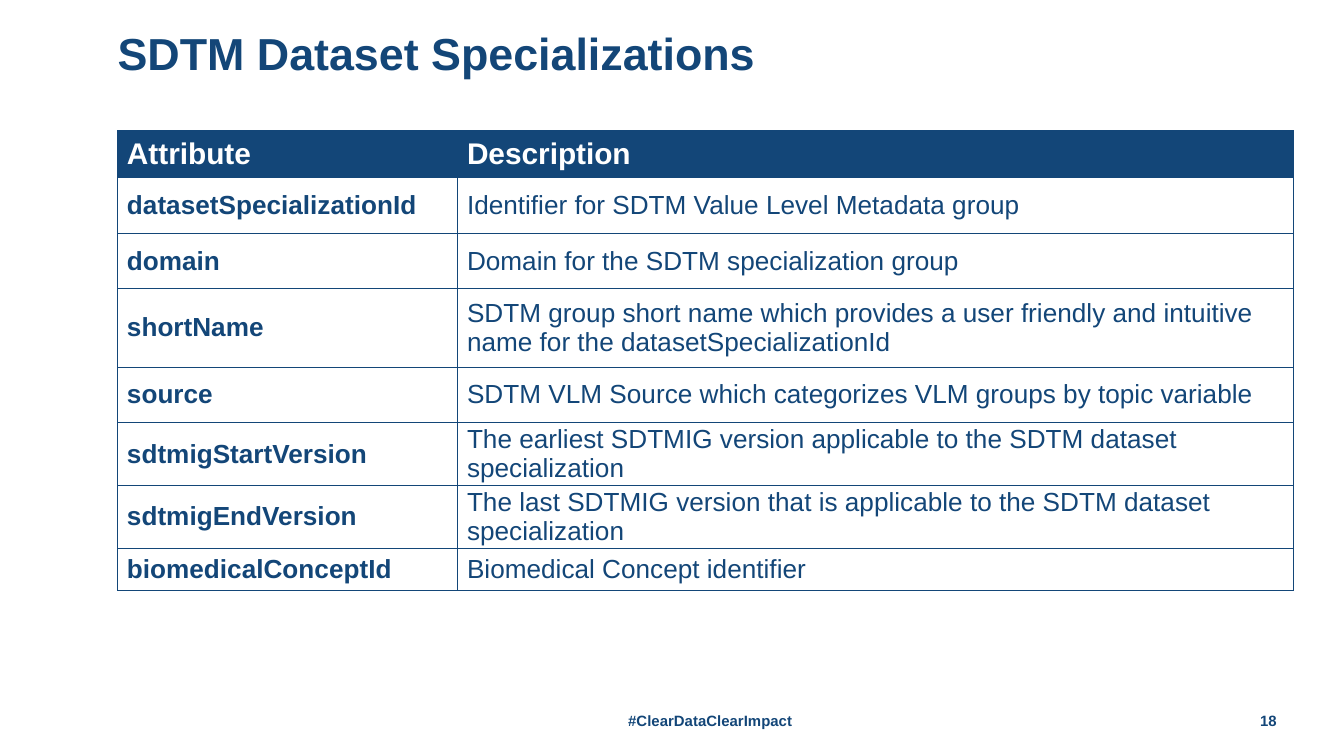
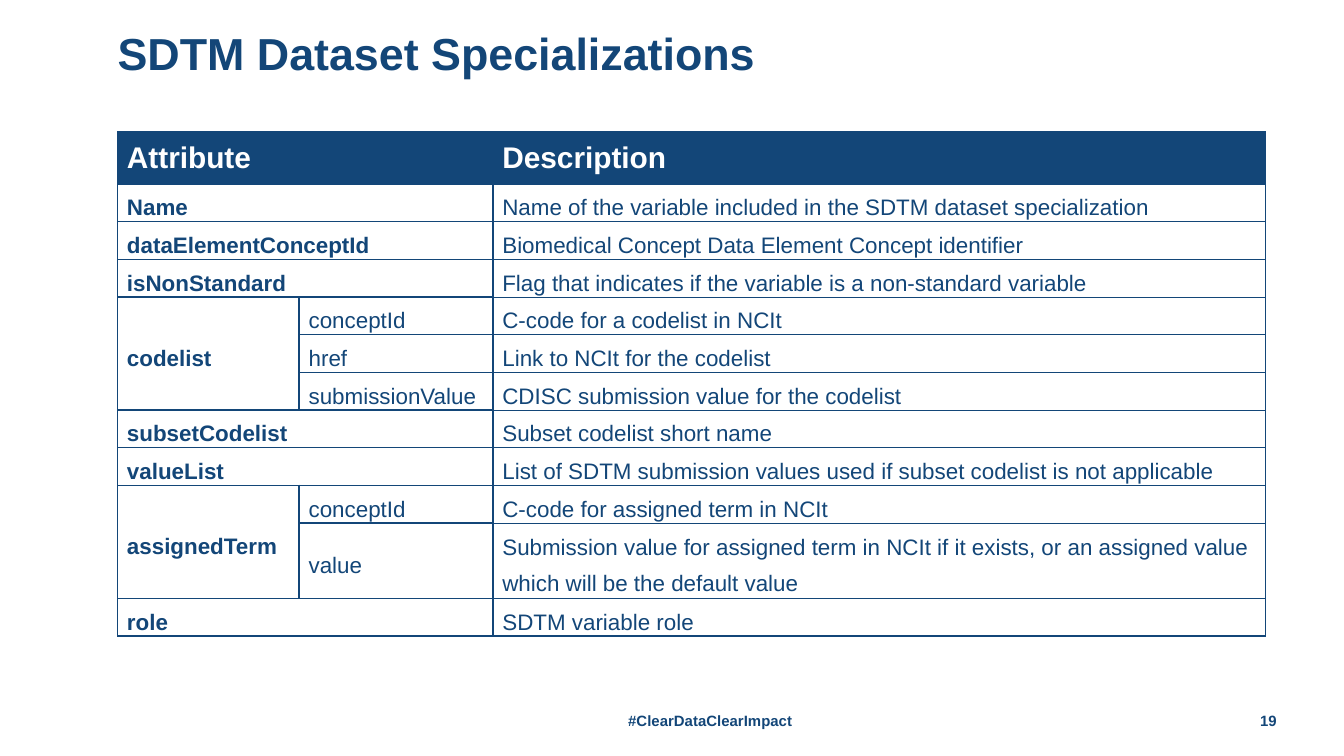
from lxml.etree import SubElement
from pptx import Presentation
from pptx.dml.color import RGBColor
from pptx.enum.text import MSO_ANCHOR as Anchor, PP_ALIGN as Align
from pptx.oxml.ns import qn
from pptx.util import Emu, Inches, Pt

NAVY, WHITE = "134678", "FFFFFF"
FONT = "Arial"
WIDTH = Inches(10)
HEIGHT = Emu(WIDTH * 9 // 16)
TITLE = "SDTM Dataset Specializations"
HASHTAG = "#ClearDataClearImpact"
TITLE_BOX = (8.75, 2, 86.25, 17.8)
FOOTER_BOX = (27.3, 92.7, 51.1, 5.3)
NUMBER_BOX = (91.7, 92.7, 3.3, 5.3)
GROUP_BOX = (8.75, 17.25, 87.5, 59.6)
VARIABLE_BOX = (8.75, 17.4, 85.4, 66.7)

GROUP_ROWS = [
    ("Attribute", "Description"),
    ("datasetSpecializationId", "Identifier for SDTM Value Level Metadata group"),
    ("domain", "Domain for the SDTM specialization group"),
    ("shortName", "SDTM group short name which provides a user friendly and "
                  "intuitive name for the datasetSpecializationId"),
    ("source", "SDTM VLM Source which categorizes VLM groups by topic variable"),
    ("sdtmigStartVersion", "The earliest SDTMIG version applicable to the SDTM "
                           "dataset specialization"),
    ("sdtmigEndVersion", "The last SDTMIG version that is applicable to the SDTM "
                         "dataset specialization"),
    ("biomedicalConceptId", "Biomedical Concept identifier"),
]
VARIABLE_ROWS = [
    ("Attribute", "", "Description"),
    ("Name", "", "Name of the variable included in the SDTM dataset specialization"),
    ("dataElementConceptId", "", "Biomedical Concept Data Element Concept identifier"),
    ("isNonStandard", "",
     "Flag that indicates if the variable is a non-standard variable"),
    ("codelist", "conceptId", "C-code for a codelist in NCIt"),
    ("", "href", "Link to NCIt for the codelist"),
    ("", "submissionValue", "CDISC submission value for the codelist"),
    ("subsetCodelist", "", "Subset codelist short name"),
    ("valueList", "",
     "List of SDTM submission values used if subset codelist is not applicable"),
    ("assignedTerm", "conceptId", "C-code for assigned term in NCIt"),
    ("", "value", "Submission value for assigned term in NCIt if it exists, or an "
                  "assigned value which will be the default value"),
    ("role", "", "SDTM variable role"),
]


def rgb(value):
    """Turn a hex string into a colour."""
    return RGBColor.from_string(value)


def place(box):
    """Convert percentages of the slide into left, top, width and height."""
    return [Emu(round(share * side / 100))
            for share, side in zip(box, (WIDTH, HEIGHT) * 2)]


def write(tf, text, size=8, color=NAVY, bold=True, align=None, spacing=None, after=None):
    """Put one formatted paragraph into a text frame."""
    tf.word_wrap = True
    p = tf.paragraphs[0]
    p.alignment, p.line_spacing = align, spacing
    p.space_after = after
    r = p.add_run()
    r.text = text
    r.font.name, r.font.size, r.font.bold = FONT, Pt(size), bold
    r.font.color.rgb = rgb(color)


def clear_insets(tf, anchor):
    """Remove the insets of a text frame and anchor its text."""
    tf.margin_left = tf.margin_top = tf.margin_right = tf.margin_bottom = 0
    tf.vertical_anchor = anchor


def add_label(s, box, text, align):
    """Add a small footer text."""
    tf = s.shapes.add_textbox(*place(box)).text_frame
    clear_insets(tf, Anchor.MIDDLE)
    write(tf, text, align=align)


def add_frame(prs, number):
    """Add a slide with its title, hashtag and number."""
    s = prs.slides.add_slide(prs.slide_layouts[5])
    title = s.shapes.title
    title.left, title.top, title.width, title.height = place(TITLE_BOX)
    clear_insets(title.text_frame, Anchor.TOP)
    title.text_frame.margin_top = Inches(0.12)
    write(title.text_frame, TITLE, size=24, align=Align.LEFT, spacing=0.9)
    add_label(s, FOOTER_BOX, HASHTAG, Align.CENTER)
    add_label(s, NUMBER_BOX, str(number), Align.RIGHT)
    return s


def set_borders(cell, widths):
    """Draw the left, right, top and bottom borders of a cell."""
    tc_pr = cell._tc.get_or_add_tcPr()
    for side, width in zip("LRTB", widths):
        ln = SubElement(tc_pr, qn(f"a:ln{side}"), w=str(Pt(width)))
        fill = SubElement(ln, qn("a:solidFill"))
        SubElement(fill, qn("a:srgbClr"), val=NAVY)


def thin_borders(row, col, last):
    """Give every side a thin line."""
    return (0.5,) * 4


def mixed_borders(row, col, last):
    """Give attribute columns heavy lines and the outer edges thin ones."""
    if col == 2:
        return 1, 0.5, 0.5, 1 if row == last else 0.5
    return 1 if col else 0.5, 1, 1 if row else 0.5, 1


def merge_blanks(table, rows):
    """Merge empty cells into the attribute beside or above them."""
    start = 0
    for i, (attribute, *parts) in enumerate(rows):
        if attribute:
            start = i
            if not parts[0]:
                table.cell(i, 0).merge(table.cell(i, 1))
        elif i + 1 == len(rows) or rows[i + 1][0]:
            table.cell(start, 0).merge(table.cell(i, 0))


def add_attributes(s, box, rows, columns, heights, borders, size, spacing=None):
    """Add an attribute table whose columns and rows share the box by weight."""
    left, top, width, height = place(box)
    table = s.shapes.add_table(len(rows), len(columns), left, top, width, height).table
    table.horz_banding = False
    for col, weight in zip(table.columns, columns):
        col.width = Emu(round(width * weight / sum(columns)))
    for row, weight in zip(table.rows, heights):
        row.height = Emu(round(height * weight / sum(heights)))
    for i, texts in enumerate(rows):
        for j, text in enumerate(texts):
            cell = table.cell(i, j)
            cell.margin_left = cell.margin_right = Inches(0.07)
            cell.margin_top = cell.margin_bottom = 0
            cell.vertical_anchor = Anchor.MIDDLE
            set_borders(cell, borders(i, j, len(rows) - 1))
            cell.fill.solid()
            cell.fill.fore_color.rgb = rgb(WHITE if i else NAVY)
            if text:
                write(cell.text_frame, text, size=size if i else 16,
                      color=NAVY if i else WHITE, bold=i == 0 or j == 0,
                      spacing=spacing if i else None, after=Pt(6))
    merge_blanks(table, rows)


def main():
    """Build both slides and save them."""
    prs = Presentation()
    prs.slide_width, prs.slide_height = WIDTH, HEIGHT
    add_attributes(add_frame(prs, 18), GROUP_BOX, GROUP_ROWS, (2.53, 6.22),
                   (35, 41, 41, 58, 41, 43, 43, 31), thin_borders, 14)
    add_attributes(add_frame(prs, 19), VARIABLE_BOX, VARIABLE_ROWS, (1.35, 1.44, 5.74),
                   [39] + [28] * 9 + [56, 28], mixed_borders, 12, spacing=1.4)
    prs.save("out.pptx")


if __name__ == "__main__":
    main()
